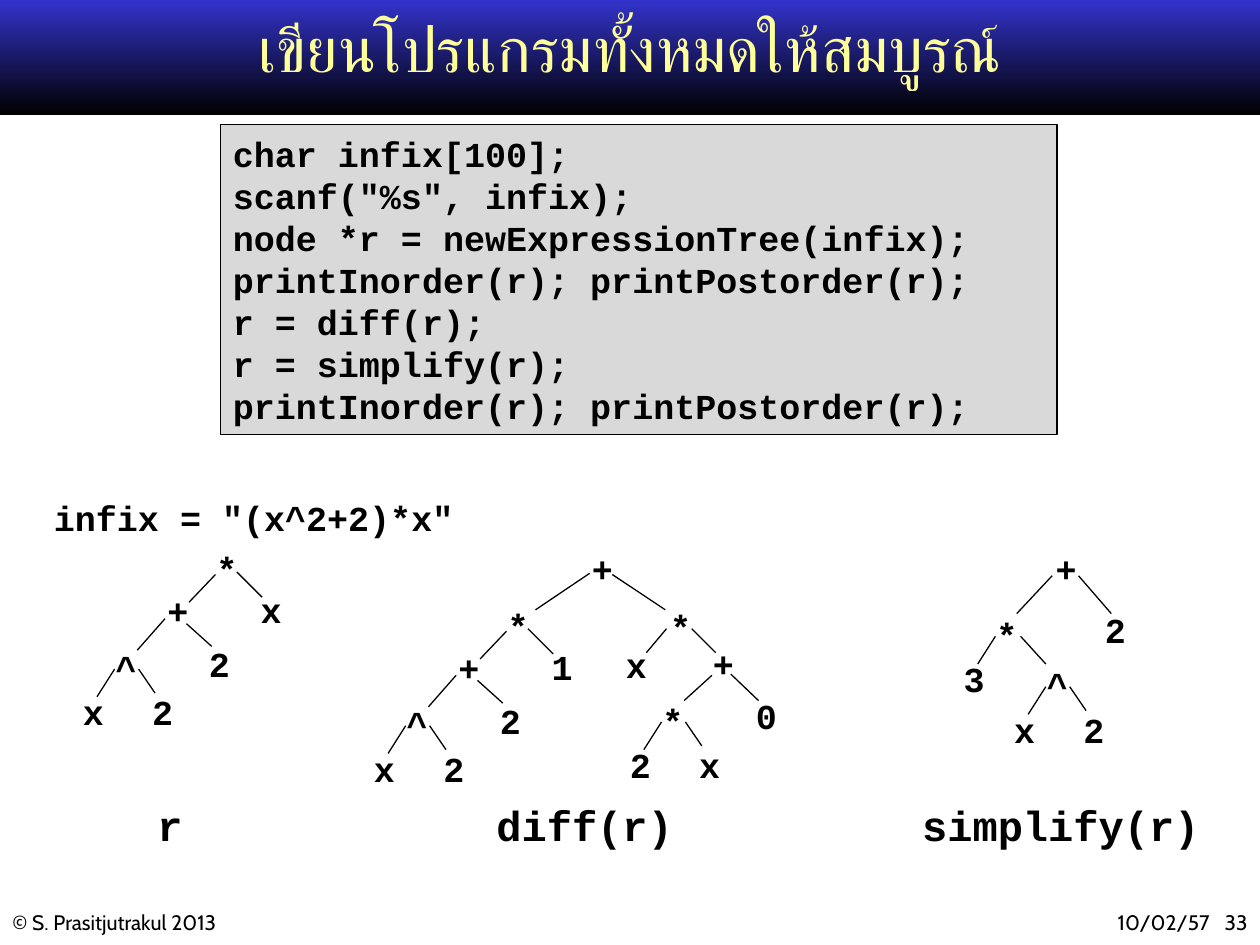
import lxml.etree
import pptx
import pptx.dml.color
import pptx.enum.shapes
import pptx.enum.text
import pptx.oxml.ns
import pptx.util

SCALE = 9144
CODE_FONT = "Courier New"
COLORS = {"black": "000000", "blue": "3333CC", "yellow": "FFFF99", "gray": "D9D9D9"}
ALIGN = pptx.enum.text.PP_ALIGN
CODE = "\v".join([
    "char infix[100];",
    'scanf("%s", infix);',
    "node *r = newExpressionTree(infix);",
    "printInorder(r); printPostorder(r);",
    "r = diff(r);",
    "r = simplify(r);",
    "printInorder(r); printPostorder(r);",
])


def px(*lengths):
    """Turn lengths in px, 100 to the inch, into EMU."""
    return [pptx.util.Emu(length * SCALE) for length in lengths]


def rgb(name):
    """Return the named color."""
    return pptx.dml.color.RGBColor.from_string(COLORS[name])


def write(shape, text, size, font=CODE_FONT, bold=True, align=ALIGN.LEFT, wrap=True):
    """Fill a shape with one paragraph of black text."""
    frame = shape.text_frame
    frame.word_wrap = wrap
    frame.auto_size = pptx.enum.text.MSO_AUTO_SIZE.SHAPE_TO_FIT_TEXT
    paragraph = frame.paragraphs[0]
    paragraph.text = text
    paragraph.alignment = align
    paragraph.font.name = font
    paragraph.font.size = pptx.util.Pt(size)
    paragraph.font.bold = bold
    paragraph.font.color.rgb = rgb("black")


def add_text(shapes, box, text, size, **style):
    """Add a text box."""
    write(shapes.add_textbox(*px(*box)), text, size, **style)


def add_node(shapes, symbol, x, y):
    """Add one tree node by its top left corner."""
    add_text(shapes, (x, y, 37, 43), symbol, 20, wrap=False)


def add_edge(shapes, *ends):
    """Add a thin black line between two points."""
    line = shapes.add_connector(pptx.enum.shapes.MSO_CONNECTOR.STRAIGHT, *px(*ends))
    line.line.color.rgb = rgb("black")
    line.line.width = pptx.util.Pt(0.75)
    properties = line.element.find(pptx.oxml.ns.qn("p:spPr"))
    lxml.etree.SubElement(properties, pptx.oxml.ns.qn("a:effectLst"))


def add_left_leaf(shapes, symbol, x, y):
    """Add the left leaf of the operator at x, y."""
    add_node(shapes, symbol, x - 26, y + 35)
    add_edge(shapes, x + 9, y + 23, x - 5, y + 45)


def add_leaf_pair(shapes, operator, left, right, x, y):
    """Add an operator at x, y with two leaves."""
    add_node(shapes, operator, x, y)
    add_left_leaf(shapes, left, x, y)
    add_node(shapes, right, x + 29, y + 35)
    add_edge(shapes, x + 28, y + 23, x + 41, y + 42)


def add_product(shapes, factor, x, y):
    """Add the tree of (x^2+2)*factor with its root at x, y."""
    add_leaf_pair(shapes, "^", "x", "2", x - 80, y + 78)
    for symbol, left, top in (("*", 0, 0), ("+", -39, 33), ("2", -6, 75), (factor, 35, 32)):
        add_node(shapes, symbol, x + left, y + top)
    for x1, y1, x2, y2 in ((9, 26, -12, 48), (-31, 61, -53, 86), (-14, 65, 6, 83), (26, 24, 46, 44)):
        add_edge(shapes, x + x1, y + y1, x + x2, y + y2)


def add_derivative(shapes):
    """Add the tree of the derivative."""
    add_product(shapes, "1", 393, 475)
    add_leaf_pair(shapes, "*", "2", "x", 516, 550)
    for node in (("+", 460, 430), ("*", 522, 476), ("x", 487, 506), ("+", 556, 505), ("0", 590, 546)):
        add_node(shapes, *node)
    for ends in ((468, 455, 425, 484), (486, 456, 528, 484), (529, 499, 513, 518),
                 (549, 499, 568, 518), (565, 536, 543, 556), (580, 535, 602, 556)):
        add_edge(shapes, *ends)


def add_simplified(shapes):
    """Add the tree of the simplified derivative."""
    add_leaf_pair(shapes, "^", "x", "2", 821, 522)
    add_left_leaf(shapes, "3", 781, 482)
    for node in (("+", 828, 430), ("2", 867, 478), ("*", 781, 482)):
        add_node(shapes, *node)
    for ends in ((835, 457, 807, 487), (856, 457, 882, 487), (810, 505, 830, 527)):
        add_edge(shapes, *ends)


def add_rectangle(slide, *box):
    """Add a rectangle without a shadow."""
    shape = slide.shapes.add_shape(pptx.enum.shapes.MSO_SHAPE.RECTANGLE, *px(*box))
    shape.shadow.inherit = False
    return shape


def add_header(slide):
    """Add the gradient band behind the title."""
    band = add_rectangle(slide, 0, 0, 1000, 91)
    band.line.fill.background()
    band.fill.gradient()
    band.fill.gradient_angle = 270
    for stop, position, color in zip(band.fill.gradient_stops, (0, 1), ("blue", "black")):
        stop.position = position
        stop.color.rgb = rgb(color)
    band.element.getparent().insert(2, band.element)


def set_title(slide, text):
    """Place and format the title."""
    title = slide.shapes.title
    title.left, title.top, title.width, title.height = px(75, 8, 850, 71)
    title.text_frame.text = text
    title.text_frame.vertical_anchor = pptx.enum.text.MSO_ANCHOR.MIDDLE
    paragraph = title.text_frame.paragraphs[0]
    paragraph.alignment = ALIGN.CENTER
    paragraph.line_spacing = 0.8
    paragraph.font.name = "DejaVu Sans Mono"
    paragraph.font.size = pptx.util.Pt(36)
    paragraph.font.color.rgb = rgb("yellow")


def add_code(slide):
    """Add the framed program listing."""
    panel = add_rectangle(slide, 175, 99, 664, 246)
    panel.fill.solid()
    panel.fill.fore_color.rgb = rgb("gray")
    panel.line.color.rgb = rgb("black")
    panel.line.width = pptx.util.Pt(0.75)
    write(panel, CODE, 20)


def main():
    """Build and save the slide."""
    presentation = pptx.Presentation()
    presentation.slide_width, presentation.slide_height = px(1000, 750)
    slide = presentation.slides.add_slide(presentation.slide_layouts[5])
    shapes = slide.shapes
    add_header(slide)
    set_title(slide, "เขียนโปรแกรมทั้งหมดให้สมบูรณ์")
    for box, text, align in (
        ((0, 717, 325, 30), "© S. Prasitjutrakul 2013", ALIGN.LEFT),
        ((783, 717, 187, 30), "10/02/57", ALIGN.RIGHT),
        ((960, 717, 40, 30), "33", ALIGN.RIGHT),
    ):
        add_text(shapes, box, text, 12, font="Cabin", bold=False, align=align)
    add_product(shapes.add_group_shape().shapes, "x", 162, 430)
    add_derivative(shapes.add_group_shape().shapes)
    add_simplified(shapes.add_group_shape().shapes)
    add_text(shapes, (115, 630, 40, 50), "r", 24, wrap=False)
    add_text(shapes, (332, 630, 264, 50), "diff(r)", 24, align=ALIGN.CENTER)
    add_text(shapes, (722, 630, 261, 50), "simplify(r)", 24)
    add_code(slide)
    add_text(shapes, (33, 389, 354, 44), 'infix = "(x^2+2)*x"', 20)
    presentation.save("out.pptx")


if __name__ == "__main__":
    main()
